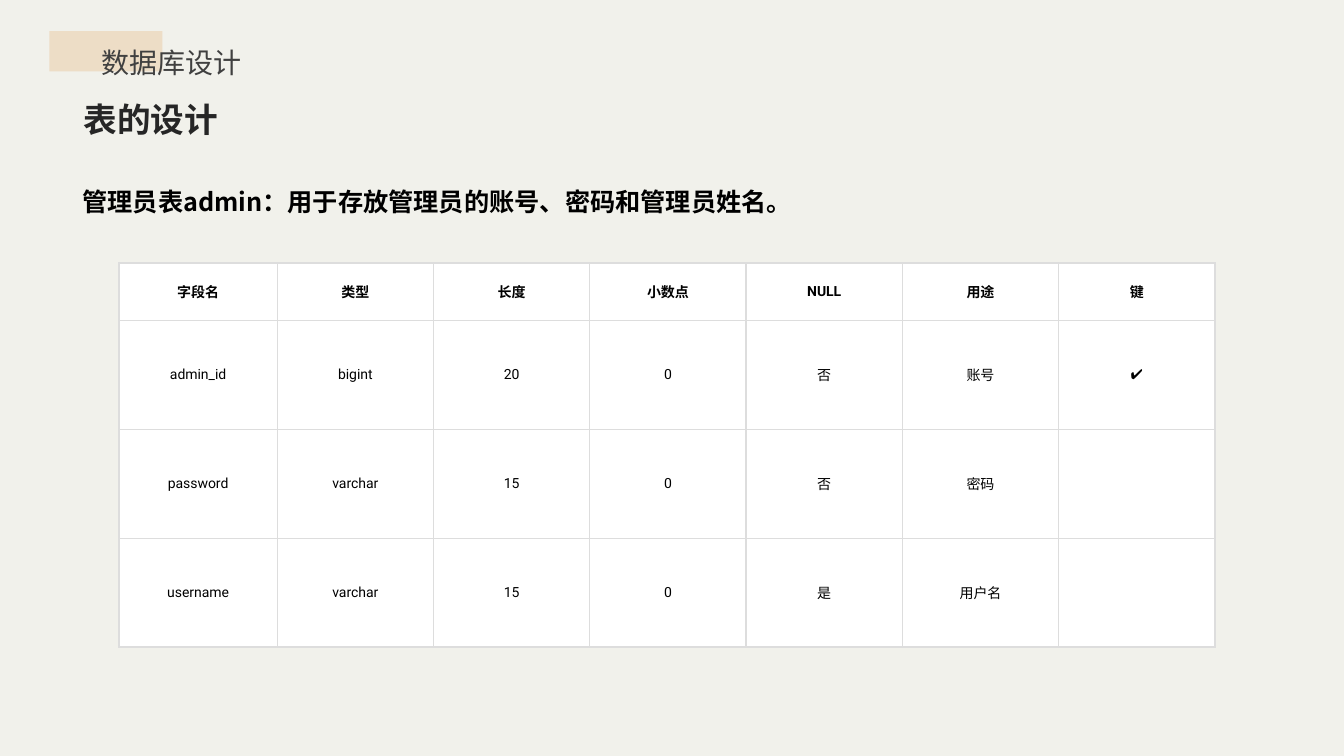
from lxml import etree
from pptx import Presentation
from pptx import util as u
from pptx.dml.color import RGBColor
from pptx.enum import shapes, text
from pptx.oxml.ns import qn

CJK = "Noto Sans CJK SC"
LATIN = "Roboto"


def rgb(value):
    return RGBColor.from_string(value)


def write(tf, content, size, font=CJK, color="000000", bold=False,
          align=text.PP_ALIGN.LEFT, spacing=None):
    p = tf.paragraphs[0]
    p.alignment = align
    if spacing:
        p.line_spacing = spacing
    r = p.add_run()
    r.text = content
    r.font.size = u.Pt(size)
    r.font.name = font
    r.font.bold = bold
    r.font.color.rgb = rgb(color)
    etree.SubElement(r._r.get_or_add_rPr(), qn("a:ea"), typeface=CJK)


def set_border(cell, side, color, width):
    """Draw one cell edge; side is L, R, T or B."""
    tc_pr = cell._tc.get_or_add_tcPr()
    ln = etree.SubElement(tc_pr, qn(f"a:ln{side}"), w=str(u.Pt(width)))
    fill = etree.SubElement(ln, qn("a:solidFill"))
    etree.SubElement(fill, qn("a:srgbClr"), val=color)


class SlideBuilder:
    background = "F1F1EB"
    accent = "EDDDC6"
    grid = "DDDDDD"
    cell_fill = "FFFFFF"

    def __init__(self, prs):
        self.s = prs.slides.add_slide(prs.slide_layouts[6])
        fill = self.s.background.fill
        fill.solid()
        fill.fore_color.rgb = rgb(self.background)

    def rect(self, *box):
        sp = self.s.shapes.add_shape(shapes.MSO_SHAPE.RECTANGLE, *map(u.Inches, box))
        sp.shadow.inherit = False
        sp.fill.solid()
        sp.fill.fore_color.rgb = rgb(self.accent)
        sp.line.fill.background()

    def label(self, box, content, size, wrap=True, **style):
        tf = self.s.shapes.add_textbox(*map(u.Inches, box)).text_frame
        tf.word_wrap = wrap
        tf.auto_size = text.MSO_AUTO_SIZE.SHAPE_TO_FIT_TEXT
        write(tf, content, size, **style)

    def table(self, box, widths, heights, rows):
        table = self.s.shapes.add_table(
            len(rows), len(widths), *map(u.Inches, box)).table
        table.first_row = table.horz_banding = False
        for column, width in zip(table.columns, widths):
            column.width = u.Inches(width)
        for i, (row, height) in enumerate(zip(rows, heights)):
            table.rows[i].height = u.Inches(height)
            for j, content in enumerate(row):
                self.cell(table.cell(i, j), content, header=i == 0)

    def cell(self, cell, content, header):
        for side in "LRTB":
            set_border(cell, side, self.grid, 1.5 if header and side == "B" else 1)
        cell.fill.solid()
        cell.fill.fore_color.rgb = rgb(self.cell_fill)
        cell.vertical_anchor = text.MSO_ANCHOR.MIDDLE
        cell.margin_left = cell.margin_right = u.Inches(0.11)
        cell.margin_top = cell.margin_bottom = u.Inches(0.05)
        if content:
            write(cell.text_frame, content, 10, font=LATIN, bold=header,
                  align=text.PP_ALIGN.CENTER)


def main():
    prs = Presentation()
    prs.slide_width, prs.slide_height = u.Inches(13.33), u.Inches(7.5)
    slide = SlideBuilder(prs)

    slide.rect(0.49, 0.31, 1.12, 0.4)
    slide.label((0.91, 0.24, 3.5, 0.6), "数据库设计", 20, color="404040",
                align=text.PP_ALIGN.JUSTIFY, spacing=1.5)
    slide.label((0.73, 0.93, 1.54, 0.5), "表的设计", 24, wrap=False,
                color="262626", bold=True)
    slide.label((0.72, 1.68, 7.94, 0.94),
                "管理员表admin：用于存放管理员的账号、密码和管理员姓名。", 18,
                bold=True, spacing=u.Pt(30))

    fields = [
        ("字段名", "类型", "长度", "小数点", "NULL", "用途", "键"),
        ("admin_id", "bigint", "20", "0", "否", "账号", "✔"),
        ("password", "varchar", "15", "0", "否", "密码", ""),
        ("username", "varchar", "15", "0", "是", "用户名", ""),
    ]
    slide.table((1.18, 2.61, 10.85, 3.81), [1.57] + [1.55] * 6,
                [0.57] + [1.08] * 3, fields)
    prs.save("out.pptx")


if __name__ == "__main__":
    main()
